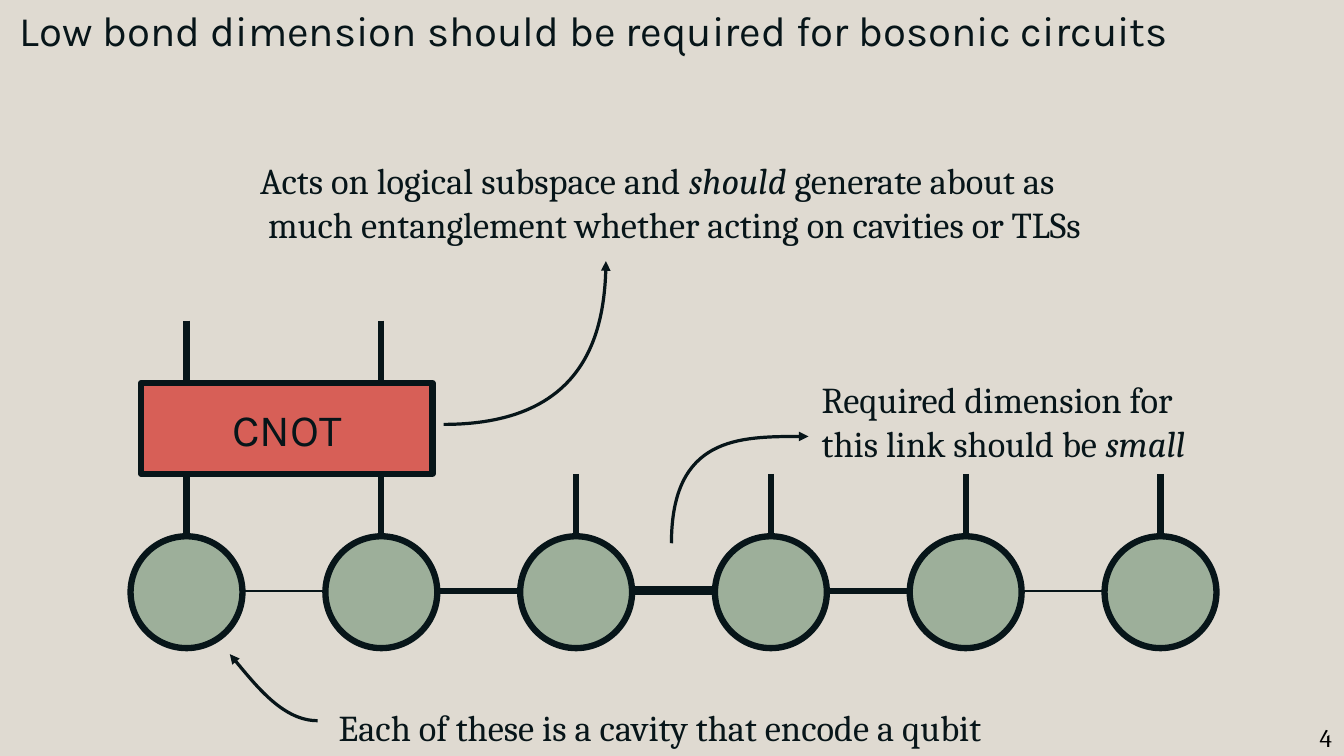
from lxml.etree import SubElement
from pptx import Presentation
from pptx.dml.color import RGBColor
from pptx.enum.shapes import MSO_CONNECTOR, MSO_SHAPE
from pptx.enum.text import MSO_ANCHOR, PP_ALIGN
from pptx.oxml.ns import qn
from pptx.util import Inches, Pt

COLORS = {"paper": "DFDAD1", "ink": "071519", "cavity": "9DAF9A",
          "gate": "D75F57", "number": "000000"}
SERIF, SANS = "Cambria", "Karla"
FIRST_X, LAST_X, CAVITIES = 1.85, 11.51, 6
PITCH = (LAST_X - FIRST_X) / (CAVITIES - 1)
DIAMETER, CAVITY_TOP, BOND_Y = 1.11, 5.32, 5.86
LEG, GATE_TOP, GATE_BOTTOM = 0.62, 3.8, 4.7
BOND_WEIGHTS = [1.5, 4.5, 6, 4.5, 1.5]


def color(name):
    """Return the palette colour of that name."""
    return RGBColor.from_string(COLORS[name])


def apply(target, values):
    """Set each attribute of the target from a dict."""
    for name, value in values.items():
        setattr(target, name, value)


def outline(line, weight):
    """Give a line the ink colour and a weight in points."""
    line.color.rgb = color("ink")
    line.width = Pt(weight)


def write(frame, paragraphs, size, font=SERIF, ink="ink", align=PP_ALIGN.LEFT):
    """Fill a text frame with paragraphs of (text, italic) runs."""
    for index, runs in enumerate(paragraphs):
        paragraph = frame.paragraphs[0] if index == 0 else frame.add_paragraph()
        paragraph.alignment = align
        for words, italic in runs:
            run = paragraph.add_run()
            run.text = words
            apply(run.font, {"name": font, "size": Pt(size), "italic": italic})
            run.font.color.rgb = color(ink)


def add_text(slide, box, paragraphs, size, inset=(0, 0), wrap=True, **style):
    """Add a text box with horizontal and vertical insets."""
    frame = slide.shapes.add_textbox(*map(Inches, box)).text_frame
    across, down = map(Inches, inset)
    apply(frame, {"word_wrap": wrap, "margin_left": across, "margin_right": across,
                  "margin_top": down, "margin_bottom": down})
    write(frame, paragraphs, size, **style)


def add_block(slide, kind, box, fill):
    """Add a filled, outlined preset shape."""
    block = slide.shapes.add_shape(kind, *map(Inches, box))
    block.shadow.inherit = False
    block.fill.solid()
    block.fill.fore_color.rgb = color(fill)
    outline(block.line, 4.5)
    return block


def add_line(slide, start, end, weight=4.5):
    """Add a straight line without shadow."""
    line = slide.shapes.add_connector(MSO_CONNECTOR.STRAIGHT, *map(Inches, start + end))
    outline(line.line, weight)
    SubElement(line._element.spPr, qn("a:effectLst"))


def add_curved_arrow(slide, start, *bends):
    """Add a Bézier arrow from start through two control points to its tip."""
    builder = slide.shapes.build_freeform(*map(Inches, start))
    builder.add_line_segments([tuple(map(Inches, bend)) for bend in bends], close=False)
    arrow = builder.convert_to_shape()
    arrow.shadow.inherit = False
    arrow.fill.background()
    outline(arrow.line, 2.3)
    SubElement(arrow.line._get_or_add_ln(), qn("a:tailEnd"), type="triangle")
    segments = list(arrow._element.iter(qn("a:lnTo")))
    curve = SubElement(segments[0].getparent(), qn("a:cubicBezTo"))
    for segment in segments:
        curve.append(segment[0])
        segment.getparent().remove(segment)


def add_chain(slide):
    """Add the row of cavities with their legs and bonds."""
    radius = DIAMETER / 2
    centers = [FIRST_X + PITCH * index for index in range(CAVITIES)]
    for x in centers:
        add_block(slide, MSO_SHAPE.OVAL, (x - radius, CAVITY_TOP, DIAMETER, DIAMETER), "cavity")
        add_line(slide, (x, GATE_BOTTOM), (x, CAVITY_TOP))
    for x in centers[:2]:
        add_line(slide, (x, GATE_TOP - LEG), (x, GATE_TOP))
    for left, right, weight in zip(centers, centers[1:], BOND_WEIGHTS):
        add_line(slide, (left + radius, BOND_Y), (right - radius, BOND_Y), weight)


def add_gate(slide):
    """Add the gate that acts on the first two cavities."""
    gate = add_block(slide, MSO_SHAPE.RECTANGLE,
                     (1.4, GATE_TOP, 2.89, GATE_BOTTOM - GATE_TOP), "gate")
    gate.text_frame.vertical_anchor = MSO_ANCHOR.MIDDLE
    write(gate.text_frame, [[("CNOT", False)]], 32, SANS, align=PP_ALIGN.CENTER)


def add_notes_on_chain(slide):
    """Add the three remarks and their arrows."""
    add_curved_arrow(slide, (6.66, 5.39), (6.66, 4.33), (7.4, 4.33), (8.02, 4.33))
    add_text(slide, (8.15, 3.74, 4.03, 0.94),
             [[("Required dimension for", False)],
              [("this link should be ", False), ("small", True)]], 26, wrap=False)
    add_text(slide, (2.58, 1.57, 8.76, 0.94),
             [[("Acts on logical subspace and ", False), ("should", True),
               (" generate about as", False)],
              [(" much entanglement whether acting on cavities or TLSs", False)]],
             26, wrap=False)
    add_curved_arrow(slide, (4.4, 4.21), (5.75, 4.21), (6.01, 3.31), (6.01, 2.59))
    add_text(slide, (3.36, 7, 7.44, 0.95),
             [[("Each of these is a cavity that encode a qubit", False)]], 26)
    add_curved_arrow(slide, (3.15, 7.15), (2.82, 7.15), (2.52, 6.78), (2.28, 6.49))


def main():
    """Build and save the slide."""
    deck = Presentation()
    apply(deck, {"slide_width": Inches(13.33), "slide_height": Inches(7.5)})
    slide = deck.slides.add_slide(deck.slide_layouts[6])
    slide.background.fill.solid()
    slide.background.fill.fore_color.rgb = color("paper")
    add_text(slide, (0, 0, 12.78, 0.9),
             [[(" Low bond dimension should be required for bosonic circuits", False)]],
             30, inset=(0.1, 0.05), font=SANS)
    add_text(slide, (12.99, 7.12, 0.32, 0.42), [[("4", False)]], 18,
             inset=(0.1, 0.05), wrap=False, ink="number")
    add_chain(slide)
    add_gate(slide)
    add_notes_on_chain(slide)
    deck.save("out.pptx")


if __name__ == "__main__":
    main()
